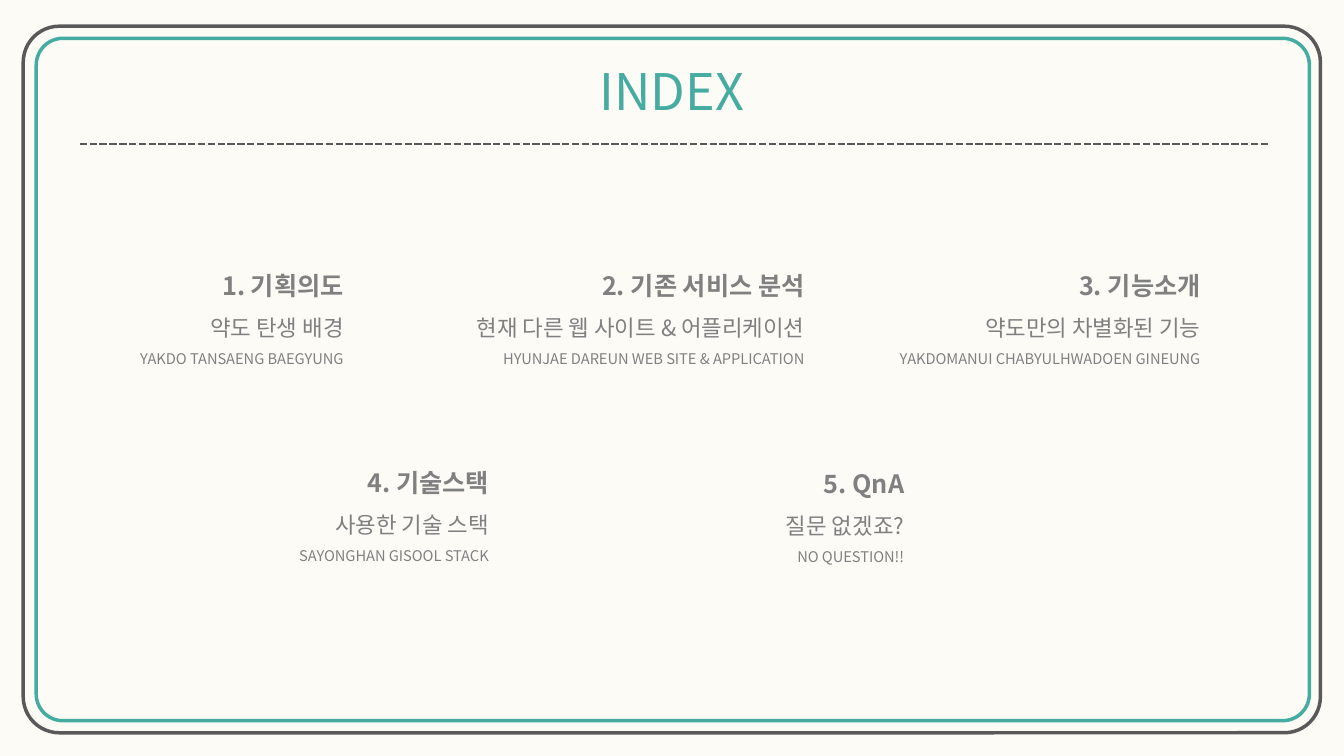
"""Build the INDEX slide: a double frame, a title with a dashed rule, and five topics."""
import pptx
import pptx.util
import pptx.dml.color
import pptx.enum.dml
import pptx.enum.shapes
import pptx.enum.text
import pptx.oxml
import pptx.oxml.ns
import lxml.etree

Pt = pptx.util.Pt
RGB = pptx.dml.color.RGBColor
ALIGN = pptx.enum.text.PP_ALIGN
CREAM = RGB(0xFC, 0xFB, 0xF6)
TEAL = RGB(0x46, 0xAC, 0xA1)
DARK = RGB(0x59, 0x59, 0x59)
GRAY = RGB(0x80, 0x80, 0x80)
FACE = "Noto Sans CJK KR"


def style(para, size, color, align, bold=False):
    para.alignment = align
    font = para.font
    font.name, font.size, font.bold = FACE, Pt(size), bold
    font.color.rgb = color
    props = para._p.pPr.find(pptx.oxml.ns.qn("a:defRPr"))
    east = lxml.etree.SubElement(props, pptx.oxml.ns.qn("a:ea"))
    east.set("typeface", FACE)


deck = pptx.Presentation()
deck.slide_width, deck.slide_height = Pt(960), Pt(540)
slide = deck.slides.add_slide(deck.slide_layouts[6])
slide.background.fill.solid()
slide.background.fill.fore_color.rgb = CREAM
shapes = slide.shapes

frames = [
    (25.9, 27.4, 909.4, 487.4, 0.039, TEAL),
    (16.6, 18.7, 926.6, 504.7, 0.051, DARK),
]
for left, top, width, height, curve, color in frames:
    frame = shapes.add_shape(
        pptx.enum.shapes.MSO_SHAPE.ROUNDED_RECTANGLE,
        Pt(left), Pt(top), Pt(width), Pt(height))
    frame.adjustments[0] = curve
    frame.shadow.inherit = False
    frame.fill.background()
    frame.line.color.rgb = color
    frame.line.width = Pt(2.5)

title = shapes.add_textbox(Pt(420.5), Pt(39.6), Pt(118.8), Pt(51)).text_frame
title.word_wrap = False
title.auto_size = pptx.enum.text.MSO_AUTO_SIZE.SHAPE_TO_FIT_TEXT
title.text = "INDEX"
style(title.paragraphs[0], 36, TEAL, ALIGN.CENTER)

rule = shapes.add_connector(
    pptx.enum.shapes.MSO_CONNECTOR.STRAIGHT, Pt(57), Pt(103), Pt(907), Pt(103))
rule.line.color.rgb = DARK
rule.line.width = Pt(1.75)
rule.line.dash_style = pptx.enum.dml.MSO_LINE.SQUARE_DOT
lxml.etree.SubElement(rule._element.spPr, pptx.oxml.ns.qn("a:effectLst"))

topics = [
    (44.6, 178.6, 208, "1. 기획의도", "약도 탄생 배경", "YAKDO TANSAENG BAEGYUNG"),
    (297.4, 178.6, 284.4, "2. 기존 서비스 분석", "현재 다른 웹 사이트 & 어플리케이션",
     "HYUNJAE DAREUN WEB SITE & APPLICATION"),
    (627.1, 178.6, 237.6, "3. 기능소개", "약도만의 차별화된 기능",
     "YAKDOMANUI CHABYULHWADOEN GINEUNG"),
    (148.3, 319.7, 208, "4. 기술스택", "사용한 기술 스택", "SAYONGHAN GISOOL STACK"),
    (432, 320.4, 221, "5. QnA", "질문 없겠죠?", "NO QUESTION!!"),
]
for left, top, width, *lines in topics:
    body = shapes.add_textbox(Pt(left), Pt(top), Pt(width), Pt(87.8)).text_frame
    body.word_wrap = True
    body.auto_size = pptx.enum.text.MSO_AUTO_SIZE.SHAPE_TO_FIT_TEXT
    body.text = "\n".join(lines)
    for para, size in zip(body.paragraphs, (18, 16, 10.5)):
        para.line_spacing = 1.5
        style(para, size, GRAY, ALIGN.RIGHT, size == 18)

deck.save("out.pptx")
